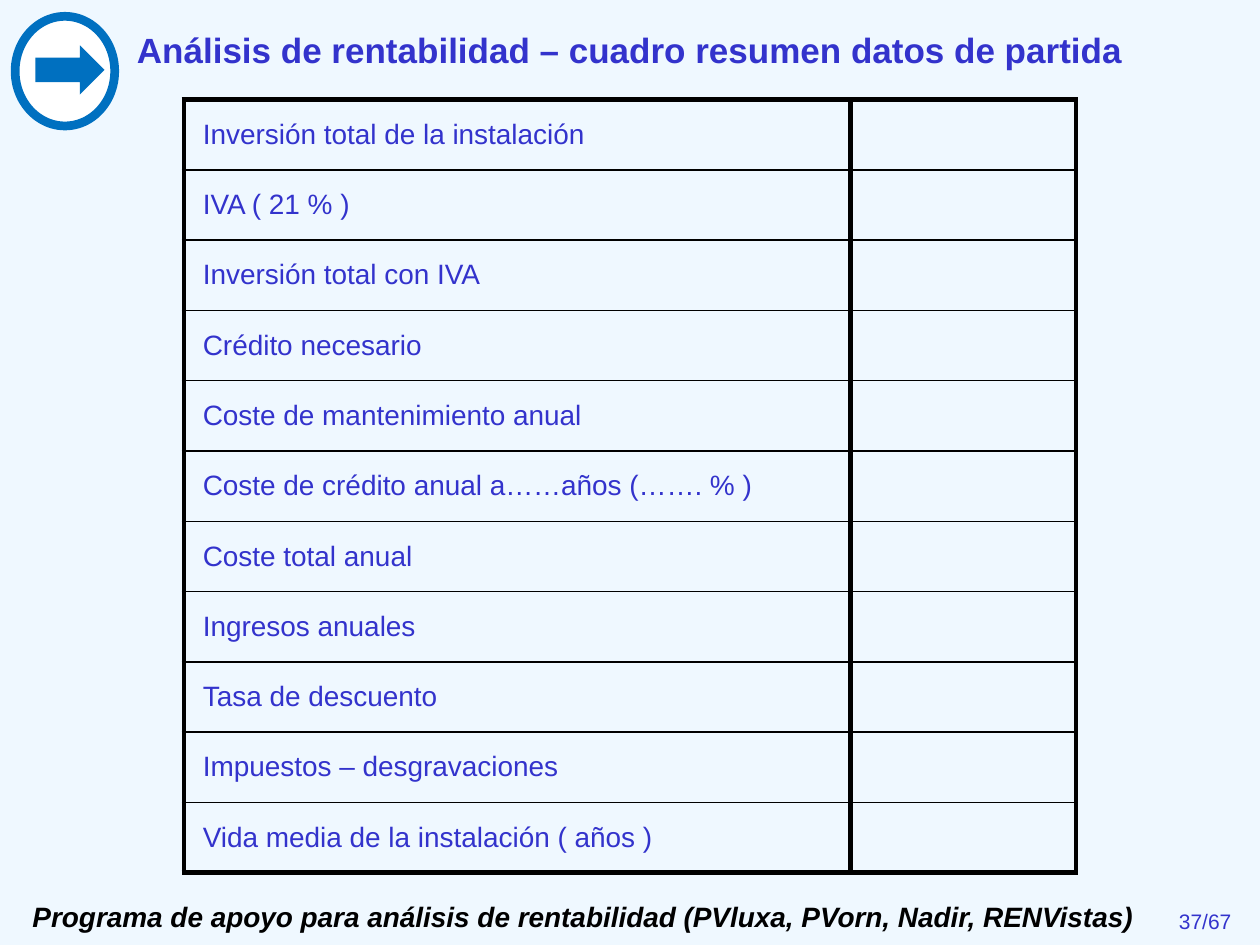
from lxml.etree import SubElement
from pptx import Presentation
from pptx.dml.color import RGBColor
from pptx.enum.shapes import MSO_SHAPE
from pptx.enum.text import MSO_ANCHOR, MSO_AUTO_SIZE, PP_ALIGN
from pptx.oxml.ns import qn
from pptx.util import Inches, Pt

BACKGROUND = RGBColor(0xEF, 0xF8, 0xFF)
INDIGO = RGBColor(0x33, 0x33, 0xCC)
BLUE = RGBColor(0x00, 0x70, 0xC0)
WHITE = RGBColor(0xFF, 0xFF, 0xFF)
BLACK = RGBColor(0x00, 0x00, 0x00)

TITLE = "Análisis de rentabilidad – cuadro resumen datos de partida"
TOOLS = "Programa de apoyo para análisis de rentabilidad (PVluxa, PVorn, Nadir, RENVistas)"
CONCEPTS = [
    "Inversión total de la instalación",
    "IVA ( 21 % )",
    "Inversión total con IVA",
    "Crédito necesario",
    "Coste de mantenimiento anual",
    "Coste de crédito anual a……años (……. % )",
    "Coste total anual",
    "Ingresos anuales",
    "Tasa de descuento",
    "Impuestos – desgravaciones",
    "Vida media de la instalación ( años )",
]


class SlideBuilder:
    font_name = "Arial"
    thick, thin = 3, 1

    def __init__(self, page):
        self.page = page
        page.background.fill.solid()
        page.background.fill.fore_color.rgb = BACKGROUND

    def format_text(self, frame, text, size, color=INDIGO, align=PP_ALIGN.LEFT,
                    bold=False, italic=False):
        frame.text = text
        para = frame.paragraphs[0]
        para.alignment = align
        for span in para.runs:
            font = span.font
            font.name, font.size = self.font_name, Pt(size)
            font.bold, font.italic = bold, italic
            font.color.rgb = color

    def title(self, text, left, top, width, height):
        box = self.page.shapes.title
        box.left, box.top = Inches(left), Inches(top)
        box.width, box.height = Inches(width), Inches(height)
        frame = box.text_frame
        self.format_text(frame, text, 20, align=PP_ALIGN.CENTER, bold=True)
        frame.auto_size = MSO_AUTO_SIZE.NONE
        frame.vertical_anchor = MSO_ANCHOR.TOP
        frame.paragraphs[0].line_spacing = 1.3

    def text_box(self, text, left, top, width, height, size, wrap=True,
                 anchor=MSO_ANCHOR.TOP, **style):
        box = self.page.shapes.add_textbox(
            Inches(left), Inches(top), Inches(width), Inches(height))
        frame = box.text_frame
        frame.word_wrap = wrap
        frame.vertical_anchor = anchor
        self.format_text(frame, text, size, **style)

    def group(self):
        return self.page.shapes.add_group_shape()

    def shape(self, group, kind, left, top, width, height, fill, line=None):
        shape = group.shapes.add_shape(
            kind, Inches(left), Inches(top), Inches(width), Inches(height))
        shape.shadow.inherit = False
        shape.fill.solid()
        shape.fill.fore_color.rgb = fill
        if line is None:
            shape.line.fill.background()
        else:
            shape.line.color.rgb = line
            shape.line.width = Pt(5)

    def borders(self, cell, top, bottom):
        properties = cell._tc.get_or_add_tcPr()
        widths = {"a:lnL": self.thick, "a:lnR": self.thick, "a:lnT": top, "a:lnB": bottom}
        for tag, width in widths.items():
            line = SubElement(properties, qn(tag), w=str(Pt(width)))
            fill = SubElement(line, qn("a:solidFill"))
            SubElement(fill, qn("a:srgbClr"), val=str(BLACK))

    def table(self, labels, left, top, column_widths, height):
        """Labels fill the first column; the other columns stay blank."""
        table = self.page.shapes.add_table(
            len(labels), len(column_widths), Inches(left), Inches(top),
            Inches(sum(column_widths)), Inches(height)).table
        table.first_row = table.horz_banding = False
        for column, width in zip(table.columns, column_widths):
            column.width = Inches(width)
        last = len(labels) - 1
        for index, label in enumerate(labels):
            for cell in table.rows[index].cells:
                self.borders(cell, self.thick if index == 0 else self.thin,
                             self.thick if index == last else self.thin)
                cell.fill.background()
            cell = table.cell(index, 0)
            cell.margin_left = cell.margin_right = Inches(0.15)
            cell.margin_top = cell.margin_bottom = Inches(0.15)
            cell.vertical_anchor = MSO_ANCHOR.MIDDLE
            self.format_text(cell.text_frame, label, 16)


def main():
    deck = Presentation()
    deck.slide_width, deck.slide_height = Inches(10), Inches(7.5)
    builder = SlideBuilder(deck.slides.add_slide(deck.slide_layouts[5]))

    builder.title(TITLE, 0.67, 0.08, 8.66, 0.54)
    builder.table(CONCEPTS, 1.46, 0.79, [5.29, 1.79], 6.14)
    icon = builder.group()
    builder.shape(icon, MSO_SHAPE.OVAL, 0.12, 0.13, 0.79, 0.87, WHITE, line=BLUE)
    builder.shape(icon, MSO_SHAPE.RIGHT_ARROW, 0.28, 0.36, 0.55, 0.39, BLUE)
    builder.text_box("37/67", 9.13, 7.16, 0.87, 0.3, 12, align=PP_ALIGN.CENTER)
    builder.text_box(TOOLS, 0.16, 7.09, 9.17, 0.37, 16, wrap=False,
                     anchor=MSO_ANCHOR.MIDDLE, color=BLACK,
                     align=PP_ALIGN.JUSTIFY, bold=True, italic=True)
    deck.save("out.pptx")


if __name__ == "__main__":
    main()
